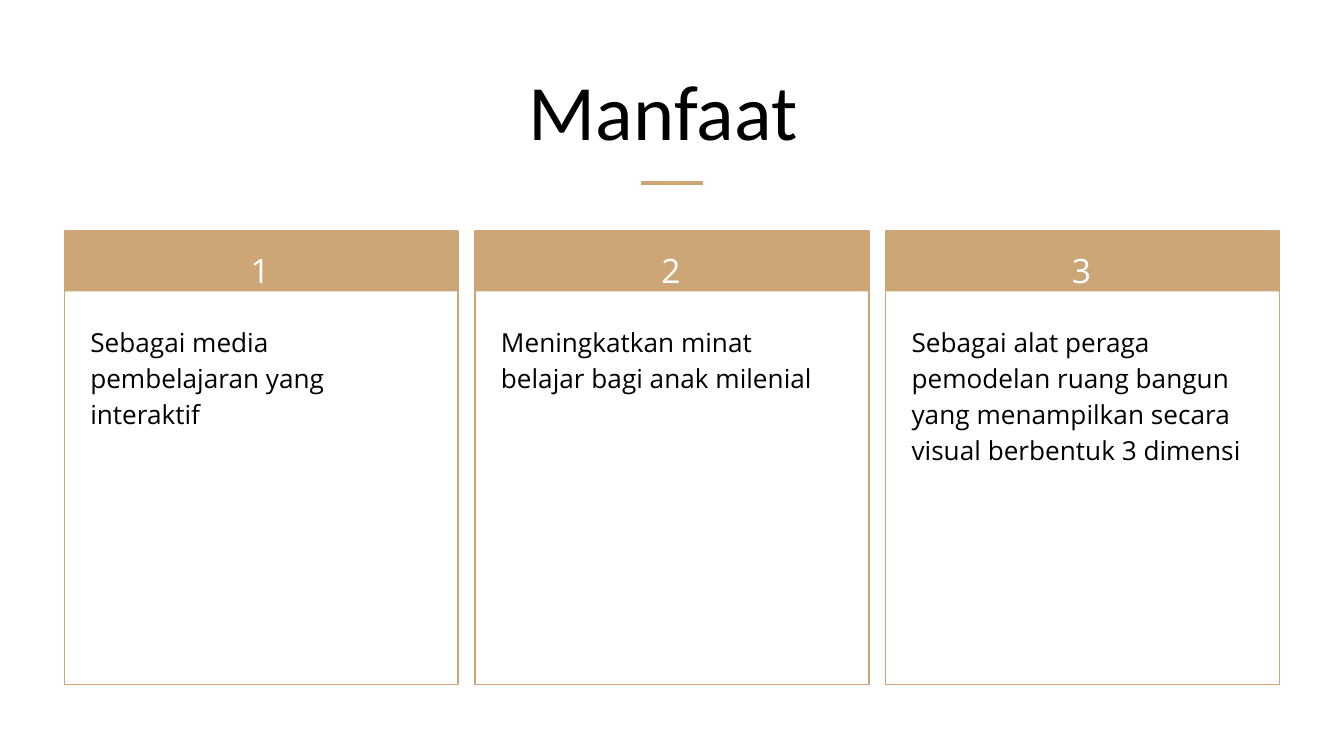
import dataclasses

import pptx
import pptx.dml.color
import pptx.enum.shapes
import pptx.enum.text
import pptx.util
from lxml import etree

Pt = pptx.util.Pt
Align = pptx.enum.text.PP_ALIGN
Anchor = pptx.enum.text.MSO_ANCHOR


@dataclasses.dataclass(frozen=True)
class Theme:
    """Hold the colours, fonts and type sizes of the slide."""
    gold: str = "CCA677"
    white: str = "FFFFFF"
    black: str = "000000"
    title_font: str = "Calibri"
    body_font: str = "Open Sans"
    title_size: float = 42
    number_size: float = 18
    body_size: float = 14
    inset: float = 7.2


THEME = Theme()
BENEFITS = [
    "Sebagai media pembelajaran yang interaktif",
    "Meningkatkan minat belajar bagi anak milenial",
    "Sebagai alat peraga pemodelan ruang bangun yang menampilkan secara visual berbentuk 3 dimensi",
]


def rgb(value):
    """Return a colour object for a hexadecimal value."""
    return pptx.dml.color.RGBColor.from_string(value)


def add_text(slide, box, text, font, size, color, align=Align.LEFT, anchor=Anchor.TOP):
    """Add a wrapped text box with one paragraph and return the paragraph."""
    frame = slide.shapes.add_textbox(*map(Pt, box)).text_frame
    frame.word_wrap = True
    frame.vertical_anchor = anchor
    frame.margin_left = frame.margin_right = Pt(THEME.inset)
    frame.margin_top = frame.margin_bottom = Pt(THEME.inset)
    paragraph = frame.paragraphs[0]
    paragraph.text = text
    paragraph.alignment = align
    paragraph.font.name = font
    paragraph.font.size = Pt(size)
    paragraph.font.color.rgb = rgb(color)
    return paragraph


def add_rectangle(slide, box, fill=None, line=None):
    """Add a rectangle with an optional fill and outline."""
    shape = slide.shapes.add_shape(pptx.enum.shapes.MSO_SHAPE.RECTANGLE, *map(Pt, box))
    shape.shadow.inherit = False
    if fill:
        shape.fill.solid()
        shape.fill.fore_color.rgb = rgb(fill)
    else:
        shape.fill.background()
    if line:
        shape.line.color.rgb = rgb(line)
        shape.line.width = Pt(0.75)
    else:
        shape.line.fill.background()


def add_heading(slide, box):
    """Place the title in the box with a short centred rule below it."""
    left, top, width, height = box
    add_text(slide, box, "Manfaat ", THEME.title_font, THEME.title_size,
             THEME.black, Align.CENTER, Anchor.BOTTOM)
    center, rule_y, half = left + width / 2, top + height + 7.2, 16.5
    rule = slide.shapes.add_connector(
        pptx.enum.shapes.MSO_CONNECTOR.STRAIGHT,
        Pt(center - half), Pt(rule_y), Pt(center + half), Pt(rule_y))
    rule.line.color.rgb = rgb(THEME.gold)
    rule.line.width = Pt(2.25)
    etree.SubElement(rule._element.spPr, pptx.oxml.ns.qn("a:effectLst"))


def add_card(slide, box, number, text):
    """Place a numbered card with its header band and body text in the box."""
    left, top, width, height = box
    band, text_left, text_width = 32.4, left + 6.8, 196.2
    add_rectangle(slide, box, line=THEME.gold)
    add_rectangle(slide, (left, top, width, band), fill=THEME.gold)
    label = add_text(slide, (text_left, top - 0.6, text_width, band), str(number),
                     THEME.body_font, THEME.number_size, THEME.white, Align.CENTER)
    label.line_spacing = 1.15
    body = add_text(slide, (text_left, top + 41.2, text_width, height - 41.8), text,
                    THEME.body_font, THEME.body_size, THEME.black)
    body.line_spacing = 1.15
    body.space_after = Pt(8)


def add_cards(slide, box, gap):
    """Divide the box into equal columns and place one card in each."""
    left, top, width, height = box
    card_width = (width - gap * (len(BENEFITS) - 1)) / len(BENEFITS)
    for index, text in enumerate(BENEFITS):
        card_left = left + index * (card_width + gap)
        add_card(slide, (card_left, top, card_width, height), index + 1, text)


def main():
    """Build and save the presentation."""
    presentation = pptx.Presentation()
    presentation.slide_width = Pt(720)
    presentation.slide_height = Pt(405)
    slide = presentation.slides.add_slide(presentation.slide_layouts[6])
    add_heading(slide, (24.5, 25.2, 671, 65.5))
    add_cards(slide, (34.5, 123.8, 651, 243), 9)
    presentation.save("out.pptx")


main()
